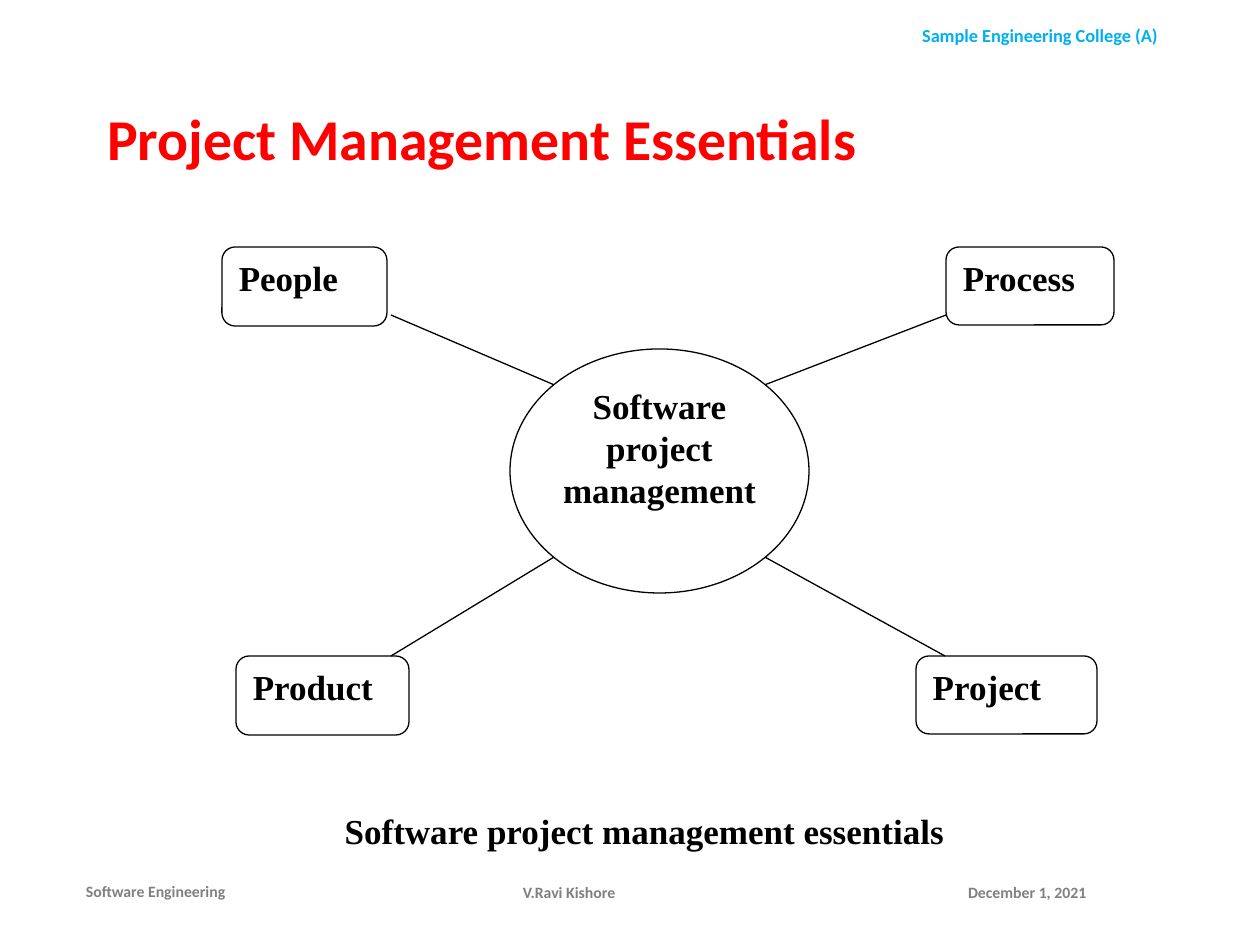
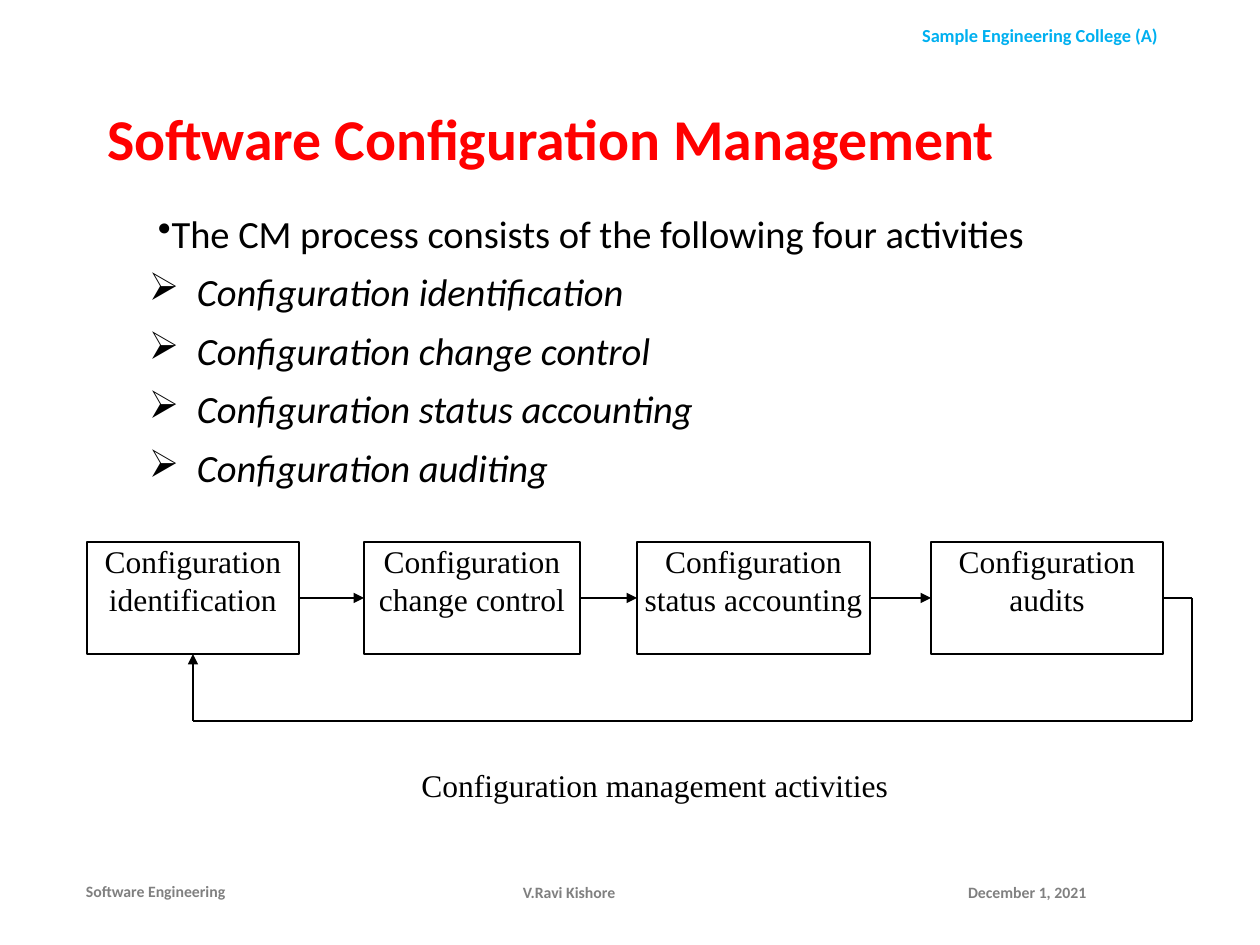
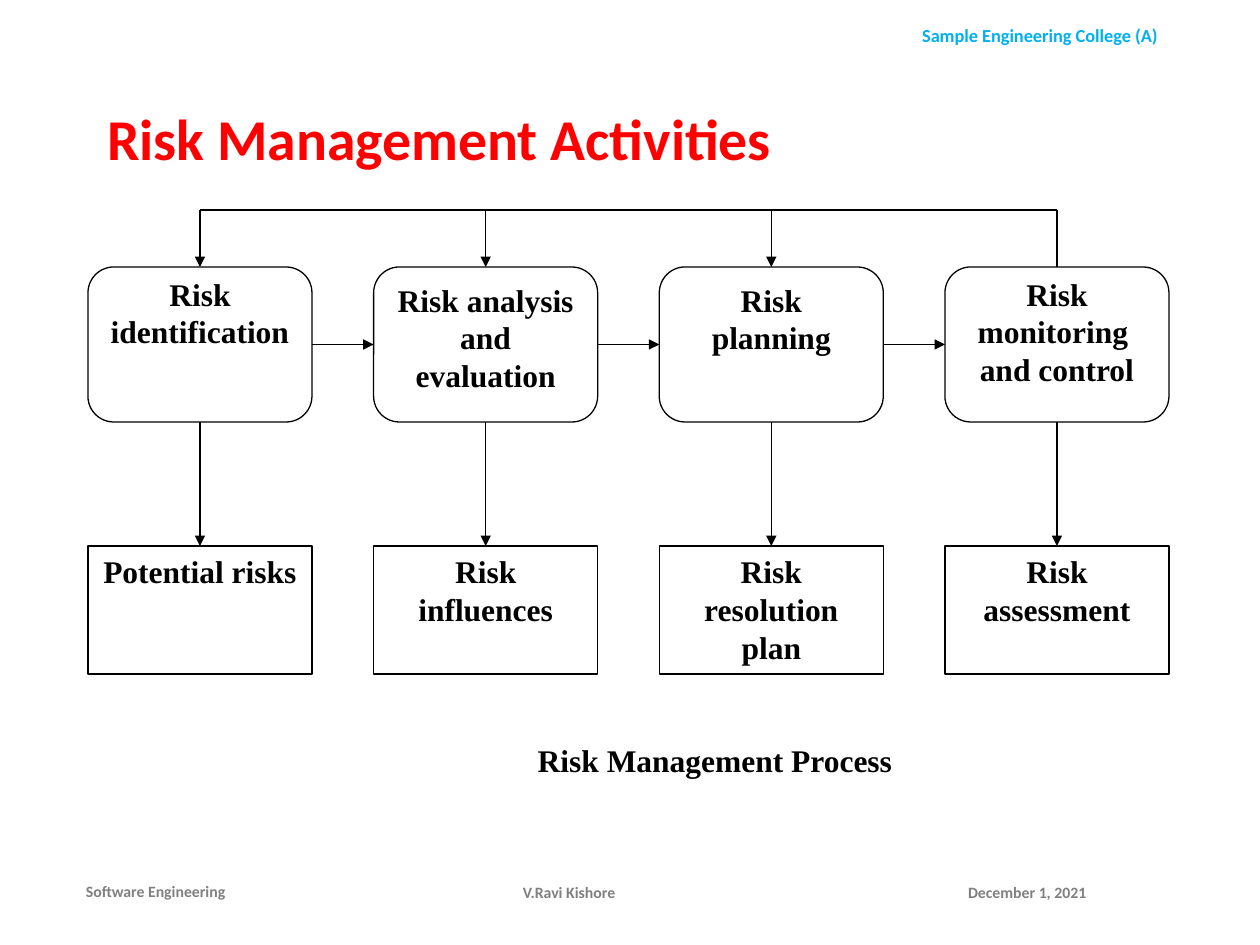
from dataclasses import dataclass
from math import cos, pi

from lxml import etree
from pptx import Presentation
from pptx import util as u
from pptx.dml.color import RGBColor
from pptx.enum import shapes, text
from pptx.oxml.ns import qn


@dataclass(frozen=True)
class Theme:
    sans: str = "Calibri"
    serif: str = "Times New Roman"
    ink: str = "000000"
    paper: str = "FFFFFF"
    title: str = "FF0000"
    header: str = "00B0F0"
    footer: str = "808080"
    title_size: float = 33
    body_size: float = 22
    large_size: float = 20
    label_size: float = 18
    header_size: float = 10.5
    footer_size: float = 9
    line_width: float = 0.75


THEME = Theme()
ALIGN, ANCHOR = text.PP_ALIGN, text.MSO_ANCHOR
SHAPE = shapes.MSO_SHAPE
TOP, LEFT, BOTTOM, RIGHT = range(4)
PADDING = (13, 6)
TIGHT = (0, 0)

# Content; places are (left, top, width, height) in px
HEADER = ("Sample Engineering College (A)", (859, 18, 362, 35))
FOOTERS = [
    ("Software Engineering", (77, 866, 199, 50), ALIGN.LEFT, (9, 5)),
    ("V.Ravi Kishore", (427, 867, 284, 50), ALIGN.CENTER, PADDING),
    ("December 1, 2021", (955, 867, 218, 50), ALIGN.LEFT, PADDING),
]
TITLE_PLACE = (107, 50, 979, 183)

ESSENTIALS = {
    "title": "Project Management Essentials",
    "hub": ("Software project management", (510, 349, 299, 244)),
    # label, place, outer end of spoke, side of the hub (x, y)
    "nodes": [
        ("People", (222, 247, 165, 79), (391, 315), (-1, -1)),
        ("Process", (946, 247, 168, 78), (946, 315), (1, -1)),
        ("Product", (236, 656, 173, 79), (391, 656), (-1, 1)),
        ("Project", (916, 656, 181, 78), (945, 656), (1, 1)),
    ],
    "caption": ("Software project management essentials", (222, 810, 845, 53)),
}

CONFIGURATION = {
    "title": "Software Configuration Management",
    "lead": "The CM process consists of the following four activities",
    "points": ["Configuration identification", "Configuration change control",
               "Configuration status accounting", "Configuration auditing"],
    # label, left, width
    "steps": [
        ("Configuration identification", 87, 212),
        ("Configuration change control", 364, 216),
        ("Configuration status accounting", 637, 233),
        ("Configuration audits", 931, 232),
    ],
    "caption": ("Configuration management activities", (321, 766, 668, 43)),
}

RISK = {
    "title": "Risk Management Activities",
    # activity, its padding, its outcome
    "stages": [
        ("Risk identification", TIGHT, "Potential risks"),
        ("Risk analysis and evaluation", PADDING, "Risk influences"),
        ("Risk planning", PADDING, "Risk resolution plan"),
        ("Risk monitoring \nand control", TIGHT, "Risk assessment"),
    ],
    "caption": ("Risk Management Process", (373, 741, 684, 53)),
}


# Drawing helpers
def px(length):
    return u.Emu(round(length * 914400 / 126))


def write(para, content, *, size, font=THEME.serif, color=THEME.ink,
          bold=False, italic=False, align=ALIGN.LEFT):
    para.alignment = align
    span = para.add_run()
    span.text = content
    span.font.name = font
    span.font.size = u.Pt(size)
    span.font.bold = bold
    span.font.italic = italic
    span.font.color.rgb = RGBColor.from_string(color)


def fill_frame(box, content, *, padding=PADDING, anchor=ANCHOR.TOP, **style):
    frame = box.text_frame
    frame.word_wrap = True
    frame.vertical_anchor = anchor
    frame.margin_left = frame.margin_right = px(padding[0])
    frame.margin_top = frame.margin_bottom = px(padding[1])
    for index, line in enumerate(content.split("\n")):
        para = frame.add_paragraph() if index else frame.paragraphs[0]
        write(para, line, **style)
    return frame


def add_text(page, content, place, **style):
    return fill_frame(page.shapes.add_textbox(*map(px, place)), content, **style)


def add_box(page, kind, content, place, *, outline=THEME.ink, **style):
    box = page.shapes.add_shape(kind, *map(px, place))
    box.shadow.inherit = False
    box.fill.solid()
    box.fill.fore_color.rgb = RGBColor.from_string(THEME.paper)
    box.line.color.rgb = RGBColor.from_string(outline)
    box.line.width = u.Pt(THEME.line_width)
    fill_frame(box, content, **style)
    return box


def add_line(page, start, end, arrow=False):
    """Each end is a point (x, y) or a joined side (box, side)."""
    joined = [not isinstance(tip[0], (int, float)) for tip in (start, end)]
    points = [(0, 0) if is_joined else tip
              for tip, is_joined in zip((start, end), joined)]
    line = page.shapes.add_connector(
        shapes.MSO_CONNECTOR.STRAIGHT, *(px(v) for point in points for v in point))
    if joined[0]:
        line.begin_connect(*start)
    if joined[1]:
        line.end_connect(*end)
    line.line.color.rgb = RGBColor.from_string(THEME.ink)
    line.line.width = u.Pt(THEME.line_width)
    properties = line.element.spPr
    if arrow:
        etree.SubElement(properties.find(qn("a:ln")), qn("a:tailEnd"), type="triangle")
    etree.SubElement(properties, qn("a:effectLst"))


def set_bullet(para, mark, margin, indent, spacing, before):
    para.line_spacing = spacing
    para.space_before = u.Pt(before)
    para.space_after = u.Pt(6)
    properties = para._p.get_or_add_pPr()
    properties.set("marL", str(px(margin)))
    properties.set("indent", str(px(indent)))
    etree.SubElement(properties, qn("a:buChar"), char=mark)


def add_page(deck, title):
    page = deck.slides.add_slide(deck.slide_layouts[6])
    add_text(page, *HEADER, size=THEME.header_size, font=THEME.sans,
             color=THEME.header, bold=True, align=ALIGN.CENTER)
    for content, place, align, padding in FOOTERS:
        add_text(page, content, place, size=THEME.footer_size, font=THEME.sans,
                 color=THEME.footer, bold=True, align=align, padding=padding,
                 anchor=ANCHOR.MIDDLE)
    frame = add_text(page, title, TITLE_PLACE, size=THEME.title_size,
                     font=THEME.sans, color=THEME.title, bold=True,
                     padding=TIGHT, anchor=ANCHOR.MIDDLE)
    frame.paragraphs[0].line_spacing = 0.9
    return page


def add_caption(page, caption, **style):
    add_box(page, SHAPE.RECTANGLE, *caption, outline=THEME.paper,
            padding=TIGHT, align=ALIGN.CENTER, **style)


# Slides
def essentials_slide(deck):
    page = add_page(deck, ESSENTIALS["title"])
    style = dict(size=THEME.large_size, bold=True)
    label, place = ESSENTIALS["hub"]
    add_box(page, SHAPE.OVAL, label, place, padding=TIGHT,
            align=ALIGN.CENTER, **style)
    left, top, width, height = place
    for label, node_place, outer, (side_x, side_y) in ESSENTIALS["nodes"]:
        add_box(page, SHAPE.ROUNDED_RECTANGLE, label, node_place, **style)
        rim = (left + width / 2 * (1 + side_x * cos(pi / 4)),
               top + height / 2 * (1 + side_y * cos(pi / 4)))
        add_line(page, outer, rim)
    add_caption(page, ESSENTIALS["caption"], **style)


def configuration_slide(deck):
    page = add_page(deck, CONFIGURATION["title"])

    # Bulleted list
    style = dict(size=THEME.body_size, font=THEME.sans)
    frame = add_text(page, CONFIGURATION["lead"], (89, 197, 1086, 345), **style)
    set_bullet(frame.paragraphs[0], "•", 24, 32, 1.15, 7.5)
    for point in CONFIGURATION["points"]:
        para = frame.add_paragraph()
        write(para, point, italic=True, **style)
        set_bullet(para, "➢", 95, -48, 0.9, 3.8)

    # Chain of steps
    top, height = 542, 112
    steps = [add_box(page, SHAPE.RECTANGLE, label, (left, top, width, height),
                     size=THEME.label_size, padding=TIGHT, align=ALIGN.CENTER)
             for label, left, width in CONFIGURATION["steps"]]
    for step, following in zip(steps, steps[1:]):
        add_line(page, (step, RIGHT), (following, LEFT), arrow=True)

    # Feedback loop from the last step to the first
    _, first_left, first_width = CONFIGURATION["steps"][0]
    loop_left, loop_right, loop_bottom = first_left + first_width / 2, 1192, 721
    corner = (loop_right, top + height / 2)
    add_line(page, (steps[-1], RIGHT), corner)
    add_line(page, corner, (loop_right, loop_bottom))
    add_line(page, (loop_left, loop_bottom), (loop_right, loop_bottom))
    add_line(page, (loop_left, loop_bottom), (steps[0], BOTTOM), arrow=True)
    add_caption(page, CONFIGURATION["caption"], size=THEME.label_size)


def risk_slide(deck):
    page = add_page(deck, RISK["title"])
    style = dict(size=THEME.label_size, bold=True, align=ALIGN.CENTER)
    first, last, width, bus = 88, 945, 224, 210
    pitch = (last - first) / (len(RISK["stages"]) - 1)
    activities = []
    for index, (activity, padding, outcome) in enumerate(RISK["stages"]):
        left = first + index * pitch
        stage = add_box(page, SHAPE.ROUNDED_RECTANGLE, activity,
                        (left, 267, width, 155), padding=padding, **style)
        result = add_box(page, SHAPE.RECTANGLE, outcome,
                         (left, 546, width, 128), **style)
        add_line(page, (stage, BOTTOM), (result, TOP), arrow=True)
        add_line(page, (left + width / 2, bus), (stage, TOP),
                 arrow=index < len(RISK["stages"]) - 1)
        activities.append(stage)
    for stage, following in zip(activities, activities[1:]):
        add_line(page, (stage, RIGHT), (following, LEFT), arrow=True)
    add_line(page, (first + width / 2, bus), (last + width / 2, bus))
    add_caption(page, RISK["caption"], size=THEME.label_size, bold=True)


def main():
    deck = Presentation()
    deck.slide_width, deck.slide_height = px(1260), px(945)
    essentials_slide(deck)
    configuration_slide(deck)
    risk_slide(deck)
    deck.save("out.pptx")


if __name__ == "__main__":
    main()
